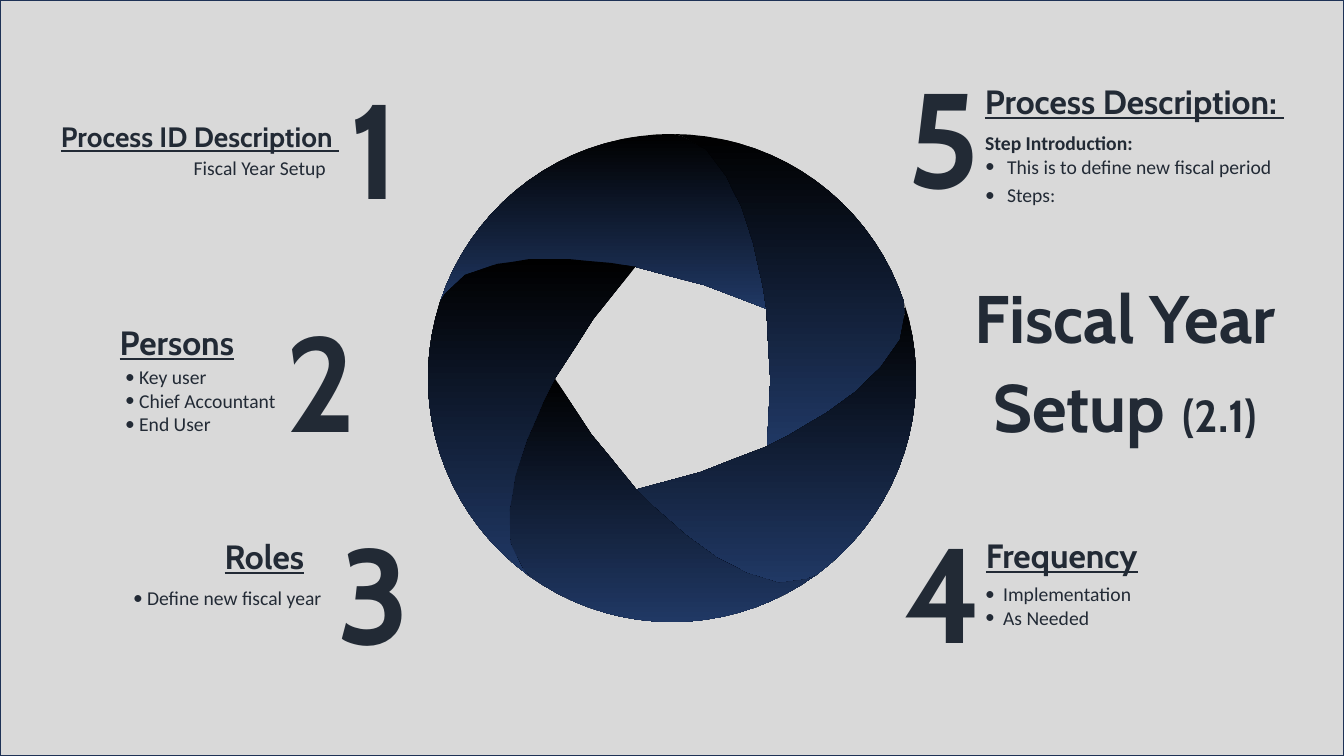
import math

from lxml import etree
from pptx import Presentation
from pptx import util as u
from pptx.dml.color import RGBColor
from pptx.enum import shapes, text
from pptx.oxml.ns import qn

PX = 9071  # EMU per px, 100.8 px to the inch
THEME = {
    "ground": RGBColor.from_string("D9D9D9"),
    "frame": RGBColor.from_string("1E3256"),
    "ink": RGBColor.from_string("222A35"),
    "blade": [RGBColor.from_string("000000"), RGBColor.from_string("203864")],
    "head_font": "Cabin", "body_font": "Calibri",
    "number": 96, "title": 48, "title_gap": 54, "title_code": 32,
    "head": 24, "small_head": 20, "body": 14,
}
LEFT, CENTER, RIGHT = text.PP_ALIGN.LEFT, text.PP_ALIGN.CENTER, text.PP_ALIGN.RIGHT


def place(sp, box):
    """Move a text shape to a px box and clear its inherited fitting and anchor."""
    sp.left, sp.top, sp.width, sp.height = [v * PX for v in box]
    tf = sp.text_frame
    tf.word_wrap = True
    tf.auto_size = text.MSO_AUTO_SIZE.NONE
    tf.vertical_anchor = text.MSO_ANCHOR.TOP
    return tf


def add_run(p, words, font, size, bold=False, underline=False):
    r = p.add_run()
    r.text = words
    r.font.name, r.font.size = font, u.Pt(size)
    r.font.bold, r.font.underline = bold, underline
    r.font.color.rgb = THEME["ink"]


prs = Presentation()
prs.slide_width, prs.slide_height = 1344 * PX, 756 * PX
slide = prs.slides.add_slide(prs.slide_layouts.get_by_name("Comparison"))
title, *bodies = slide.placeholders

# Framed ground, behind everything
ground = slide.shapes.add_shape(shapes.MSO_SHAPE.RECTANGLE, 0, 0, 1344 * PX, 756 * PX)
ground.shadow.inherit = False
ground.fill.solid()
ground.fill.fore_color.rgb = THEME["ground"]
ground.line.color.rgb = THEME["frame"]
ground.line.width = u.Pt(1)
slide.shapes._spTree.insert(2, ground._element)

# Ring of five equal blades: the curved edge of one, turned by 72 degrees,
# is also the edge of the next
CX, CY, RADIUS, BLADES = 672, 378, 244, 5
STEP = 360 // BLADES
EDGE = [(-232, -76), (-227, -84), (-207, -103), (-175, -114), (-160, -116),
        (-142, -119), (-104, -119), (-84, -117), (-61, -115), (-36, -111),
        (1, -101), (32, -93), (61, -82), (95, -69)]
TO_CORNER = 10  # edge points from the rim to the first corner of the opening
polar_edge = [(math.hypot(x, y), math.degrees(math.atan2(y, x))) for x, y in EDGE]
rim = [(RADIUS, angle) for angle in range(198, 198 + STEP, 4)]
far_edge = [(r, angle + STEP) for r, angle in polar_edge[:TO_CORNER]]
outline = rim + far_edge + polar_edge[::-1]
for blade in range(BLADES):
    points = []
    for r, angle in outline:
        a = math.radians(angle + blade * STEP)
        points.append((round((CX + r * math.cos(a)) * PX), round((CY + r * math.sin(a)) * PX)))
    builder = slide.shapes.build_freeform(*points[0])
    builder.add_line_segments(points[1:], close=True)
    sp = builder.convert_to_shape()
    sp.shadow.inherit = False
    sp.line.fill.background()
    sp.fill.gradient()
    sp.fill.gradient_angle = 270
    for stop, color in zip(sp.fill.gradient_stops, THEME["blade"]):
        stop.color.rgb = color

# Title
p = place(title, (922, 271, 406, 183)).paragraphs[0]
p.alignment = CENTER
p.line_spacing = 1.0
for words, size in [("Fiscal Year Setup", "title"), (" ", "title_gap"), ("(2.1)", "title_code")]:
    add_run(p, words, THEME["head_font"], THEME[size], bold=True)

# Numbers, headings and the one-line caption
HEAD = ("head_font", "head", True, True)
NUMBER = ("head_font", "number", True, False)
labels = [
    ("Process ID Description ", (-33, 115, 382, 44), RIGHT, ("head_font", "small_head", True, True)),
    ("Fiscal Year Setup", (124, 151, 212, 34), RIGHT, ("body_font", "body", False, False)),
    ("Persons", (32, 317, 212, 50), RIGHT, HEAD),
    ("Roles", (102, 531, 212, 50), RIGHT, HEAD),
    ("Frequency", (976, 530, 212, 50), LEFT, HEAD),
    ("Process Description: ", (975, 76, 350, 50), LEFT, HEAD),
]
number_spots = [(324, 60), (271, 293), (324, 505), (894, 504), (894, 49)]
for number, spot in enumerate(number_spots, 1):
    labels.append((str(number), (*spot, 100, 173), CENTER, NUMBER))
for words, box, align, (font, size, bold, underline) in labels:
    p = place(slide.shapes.add_textbox(0, 0, 0, 0), box).paragraphs[0]
    p.alignment = align
    add_run(p, words, THEME[font], THEME[size], bold, underline)

# Lists: box, hanging indent in px, unbulleted lead, items
lists = [
    ((115, 360, 212, 82), 14, None, ["Key user", "Chief Accountant", "End User"]),
    ((123, 581, 213, 34), 14, None, ["Define new fiscal year"]),
    ((975, 126, 330, 90), 22, "Step Introduction:",
     ["This is to define new fiscal period", "Steps:"]),
    ((975, 577, 267, 57), 18, None, ["Implementation", "As Needed"]),
]
for sp, (box, hang, lead, items) in zip(bodies, lists):
    tf = place(sp, box)
    rows = ([lead] if lead else []) + items
    for i, words in enumerate(rows):
        p = tf.paragraphs[0] if i == 0 else tf.add_paragraph()
        is_lead = words == lead
        pPr = p._p.get_or_add_pPr()
        indent = 0 if is_lead else hang * PX
        pPr.set("marL", str(indent))
        pPr.set("indent", str(-indent))
        if is_lead:
            etree.SubElement(pPr, qn("a:buNone"))
        else:
            etree.SubElement(pPr, qn("a:buFont")).set("typeface", THEME["body_font"])
            etree.SubElement(pPr, qn("a:buChar")).set("char", "•")
        p.alignment = LEFT
        p.line_spacing = 1.0
        p.space_before = u.Pt(3.5 if words == "Steps:" else 0)
        add_run(p, words, THEME["body_font"], THEME["body"], bold=is_lead)

prs.save("out.pptx")
